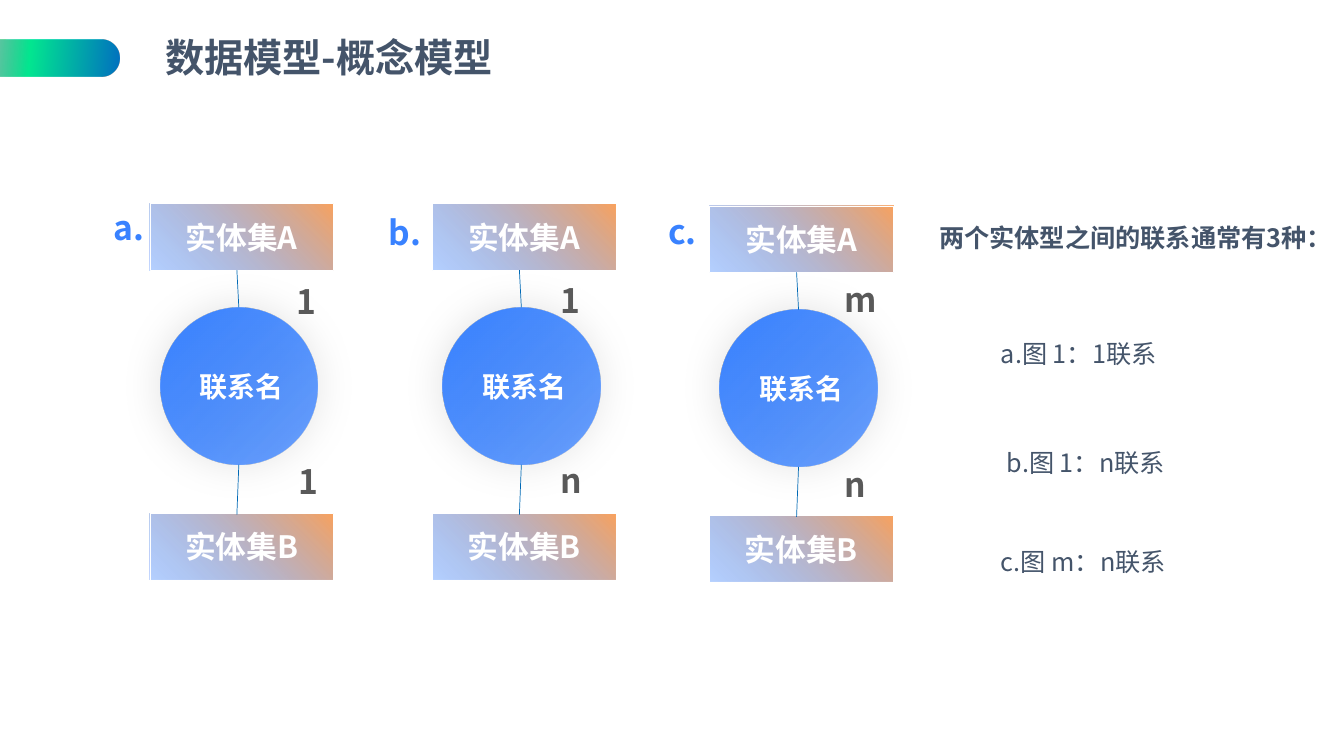
from lxml.etree import SubElement
from pptx import Presentation
from pptx.dml.color import RGBColor
from pptx.enum.shapes import MSO_CONNECTOR as Connector, MSO_SHAPE as Preset
from pptx.enum.text import MSO_ANCHOR as Anchor, MSO_AUTO_SIZE as AutoSize, PP_ALIGN as Align
from pptx.oxml.ns import qn
from pptx.util import Pt

FONT = "Noto Sans CJK SC"
SLATE = RGBColor(0x44, 0x54, 0x6A)
GREY = RGBColor(0x59, 0x59, 0x59)
WHITE = RGBColor(0xFF, 0xFF, 0xFF)
BLACK = RGBColor(0, 0, 0)
BLUE = RGBColor(0x39, 0x82, 0xFF)
LINK_BLUE = RGBColor(0x00, 0x69, 0xB5)
ORANGE = RGBColor(0xFA, 0xA3, 0x5E)
NAVY = RGBColor(0x27, 0x2D, 0x3D)
GREEN = RGBColor(0x03, 0xE7, 0x90)
DEEP_BLUE = RGBColor(0x00, 0x70, 0xC0)

# Gradient stops: position %, colour, opacity %
PILL_STOPS = [(0, NAVY, 0), (52, GREEN, 100), (100, DEEP_BLUE, 100)]
ENTITY_STOPS = [(0, ORANGE, 100), (99, BLUE, 37)]
RELATION_STOPS = [(1, BLUE, 100), (100, BLUE, 73)]

TITLE = "数据模型-概念模型"
HEADING = "两个实体型之间的联系通常有3种："
ENTITY_A, ENTITY_B, RELATION = "实体集A", "实体集B", "联系名"

# Centre and top of each diagram, its letter, and its upper and lower
# cardinality, each as (text, left, top)
DIAGRAMS = [
    (172.6, 145.4, ("a.", 74.2, 144), ("1", 204.5, 197.3), ("1", 206, 325.4)),
    (374.4, 145.4, ("b.", 270.7, 147.6), ("1", 393.1, 196.6), ("n", 393.1, 324.7)),
    (572.4, 147, ("c.", 470.2, 146.9), ("m", 596.2, 195.8), ("n", 596.2, 327.6)),
]
KINDS = [
    ("a.图 1：1联系", 707.8, 238.3),
    ("b.图 1：n联系", 712.1, 316.1),
    ("c.图 m：n联系", 707.8, 386.6),
]

ENTITY_W, ENTITY_H = 131, 47.5
ENTITY_B_DROP = 221.2
RELATION_SIZE, RELATION_DROP = 112.3, 74.2
RELATION_SHIFT = -2
LINK_SHIFT = -3.4

prs = Presentation()
prs.slide_width, prs.slide_height = Pt(960), Pt(540)
slide = prs.slides.add_slide(prs.slide_layouts[5])
shapes = slide.shapes


def write(frame, text, size, color, bold=True, align=Align.LEFT):
    frame.word_wrap = True
    paragraph = frame.paragraphs[0]
    paragraph.text = text
    paragraph.alignment = align
    font = paragraph.font
    font.size, font.bold, font.name = Pt(size), bold, FONT
    font.color.rgb = color
    properties = paragraph._p.pPr.find(qn("a:defRPr"))
    SubElement(properties, qn("a:ea"), typeface=FONT)


def add_label(text, left, top, width, height, size, color, bold=True):
    frame = shapes.add_textbox(Pt(left), Pt(top), Pt(width), Pt(height)).text_frame
    write(frame, text, size, color, bold)
    frame.auto_size = AutoSize.SHAPE_TO_FIT_TEXT


def add_color(parent, color, opacity):
    value = SubElement(parent, qn("a:srgbClr"), val=str(color))
    SubElement(value, qn("a:alpha"), val=str(opacity * 1000))


def add_gradient_shape(preset, left, top, width, height, stops, angle):
    """Angle is counter-clockwise, as in gradient_angle."""
    shape = shapes.add_shape(preset, Pt(left), Pt(top), Pt(width), Pt(height))
    shape.fill.gradient()
    shape.fill.gradient_angle = angle
    stop_list = shape._element.spPr.find(qn("a:gradFill")).find(qn("a:gsLst"))
    for old_stop in list(stop_list):
        stop_list.remove(old_stop)
    for position, color, opacity in stops:
        add_color(SubElement(stop_list, qn("a:gs"), pos=str(position * 1000)), color, opacity)
    shape.line.fill.background()
    shape.shadow.inherit = False
    return shape


def add_entity(text, center, top):
    entity = add_gradient_shape(Preset.RECTANGLE, center - ENTITY_W / 2, top,
                                ENTITY_W, ENTITY_H, ENTITY_STOPS, 225)
    entity.line.color.rgb = WHITE
    entity.line.width = Pt(0.25)
    entity.text_frame.vertical_anchor = Anchor.MIDDLE
    write(entity.text_frame, text, 22, WHITE, align=Align.CENTER)


def add_relation(center, top):
    relation = add_gradient_shape(Preset.OVAL, center - RELATION_SIZE / 2, top,
                                  RELATION_SIZE, RELATION_SIZE, RELATION_STOPS, 315)
    effects = relation._element.spPr.find(qn("a:effectLst"))
    glow = SubElement(effects, qn("a:outerShdw"), blurRad=str(Pt(30)), dist="0",
                      algn="ctr", rotWithShape="0")
    add_color(glow, BLACK, 13)
    frame = relation.text_frame
    frame.margin_left, frame.margin_right = Pt(-2 * RELATION_SHIFT), 0
    frame.vertical_anchor = Anchor.MIDDLE
    write(frame, RELATION, 20, WHITE, align=Align.CENTER)


def add_link(x1, y1, x2, y2):
    link = shapes.add_connector(Connector.STRAIGHT, Pt(x1), Pt(y1), Pt(x2), Pt(y2))
    link.line.color.rgb = LINK_BLUE
    link.line.width = Pt(0.5)
    SubElement(link._element.spPr, qn("a:effectLst"))


pill = add_gradient_shape(Preset.ROUNDED_RECTANGLE, -49, 28, 134.5, 26.5, PILL_STOPS, 355)
pill.adjustments[0] = 0.5

title = shapes.title
title.left, title.top, title.width, title.height = Pt(110.9), Pt(23.8), Pt(660), Pt(37.4)
title.text_frame.vertical_anchor = Anchor.MIDDLE
write(title.text_frame, TITLE, 28, SLATE)
title.text_frame.paragraphs[0].line_spacing = 0.9

for center, top, letter, upper, lower in DIAGRAMS:
    relation_center = center + RELATION_SHIFT
    relation_top = top + RELATION_DROP
    entity_b_top = top + ENTITY_B_DROP
    link_x = center + LINK_SHIFT
    add_entity(ENTITY_A, center, top)
    add_entity(ENTITY_B, center, entity_b_top)
    add_relation(relation_center, relation_top)
    add_link(link_x, top + ENTITY_H, relation_center, relation_top)
    add_link(relation_center, relation_top + RELATION_SIZE, link_x, entity_b_top + 1)
    for label, color in ((letter, BLUE), (upper, GREY), (lower, GREY)):
        add_label(*label, 99.4, 36, 24, color)

add_label(HEADING, 663.8, 155.5, 316, 31.7, 18, SLATE)
for kind in KINDS:
    add_label(*kind, 215.3, 28.8, 18, SLATE, bold=False)

prs.save("out.pptx")
